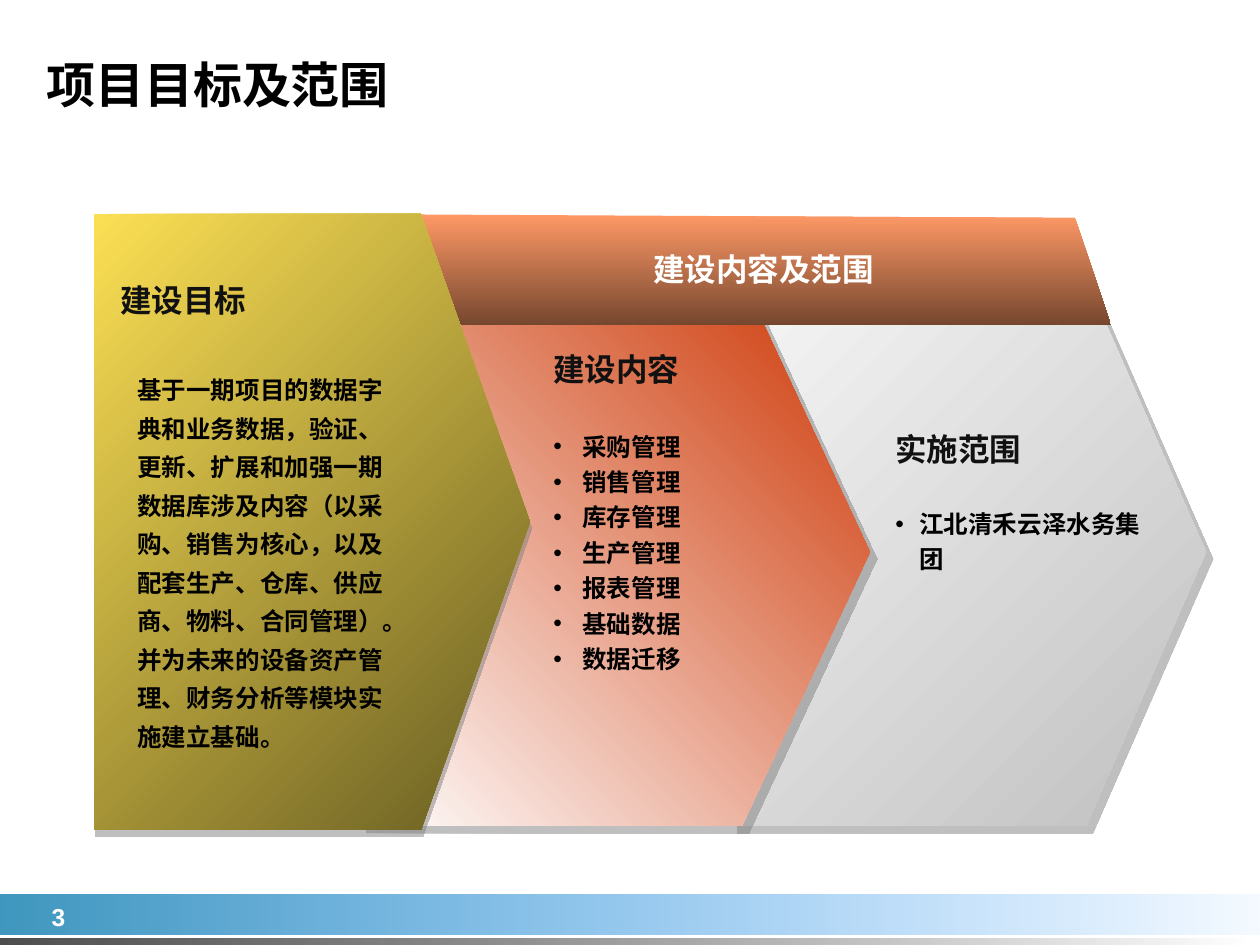
"""Build the project goals and scope slide with python-pptx."""
from dataclasses import dataclass

from lxml import etree
from pptx import Presentation
from pptx import util as u
from pptx.dml.color import RGBColor
from pptx.enum import shapes, text
from pptx.oxml.ns import qn

PX = 914400 / 126


@dataclass(frozen=True)
class Theme:
    latin: str = "Arial"
    cjk: str = "Noto Sans CJK SC"
    title: int = 28
    heading: int = 18
    body: int = 14
    black: str = "000000"
    ink: str = "111111"
    white: str = "FFFFFF"
    shadow: str = "808080"
    blue: tuple = ("3F97BF", "3399FF")
    dark: tuple = ("4D4D4D", "333333")
    grey: tuple = ("F6F6F6", "C0C0C0")
    red: tuple = ("FFFFFF", "CC3300")
    orange: tuple = ("FF9966", "76472F")
    yellow: tuple = ("FBDF53", "675C22")


THEME = Theme()


@dataclass(frozen=True)
class Bar:
    top: int
    width: int
    height: int
    colors: tuple
    end_alpha: int


@dataclass(frozen=True)
class Panel:
    points: tuple
    colors: tuple
    angle: int
    shadow: tuple = ()


@dataclass(frozen=True)
class Line:
    text: str
    size: int
    color: str
    spacing: float = 1.2
    before: float = 0
    hang: int = 0
    bullet: bool = False


@dataclass(frozen=True)
class Label:
    left: int
    top: int
    width: int
    height: int
    lines: tuple
    font: str = THEME.cjk
    centered: bool = False
    middle: bool = False


def px(value: float) -> int:
    """Turn px into EMU."""
    return round(value * PX)


def arrow(left: int, top: int, shoulder: int, tip: int, bottom: int) -> tuple:
    """Return the outline of a block arrow that points right."""
    return ((left, top), (shoulder, top), (tip, (top + bottom) // 2),
            (shoulder, bottom), (left, bottom))


def bullets(names: tuple, hang: int, before: float) -> tuple:
    """Return bulleted lines, with a gap above the first one."""
    return tuple(Line(name, THEME.body, THEME.black, 1.44, 0 if index else before, hang, True)
                 for index, name in enumerate(names))


def paint(shape, colors: tuple, angle: int, end_alpha: int = 100) -> None:
    """Fill a shape with a two-colour gradient and no outline."""
    shape.shadow.inherit = False
    shape.line.fill.background()
    shape.fill.gradient()
    shape.fill.gradient_angle = -angle % 360
    for stop, color in zip(shape.fill.gradient_stops, colors):
        stop.color.rgb = RGBColor.from_string(color)
    if end_alpha < 100:
        last = list(shape.element.spPr.iter(qn("a:srgbClr")))[-1]
        etree.SubElement(last, qn("a:alpha"), val=str(end_alpha * 1000))


def add_shadow(shape, distance: float, angle: int) -> None:
    """Give a shape a hard, half-transparent shadow."""
    effects = shape.element.spPr.find(qn("a:effectLst"))
    outer = etree.SubElement(effects, qn("a:outerShdw"), blurRad="0", dist=str(u.Pt(distance)),
                             dir=str(angle * 60000), algn="ctr", rotWithShape="0")
    color = etree.SubElement(outer, qn("a:srgbClr"), val=THEME.shadow)
    etree.SubElement(color, qn("a:alpha"), val="50000")


def draw_bar(page, bar: Bar) -> None:
    """Draw one footer bar."""
    shape = page.shapes.add_shape(shapes.MSO_SHAPE.RECTANGLE, 0, px(bar.top),
                                  px(bar.width), px(bar.height))
    paint(shape, bar.colors, 0, bar.end_alpha)


def draw_panel(page, panel: Panel) -> None:
    """Draw one gradient panel."""
    builder = page.shapes.build_freeform(*panel.points[0], scale=PX)
    builder.add_line_segments(panel.points[1:], close=True)
    shape = builder.convert_to_shape()
    paint(shape, panel.colors, panel.angle)
    if panel.shadow:
        add_shadow(shape, *panel.shadow)


def write_line(para, line: Line, font: str, centered: bool) -> None:
    """Write and format one paragraph."""
    para.text = line.text
    para.alignment = text.PP_ALIGN.CENTER if centered else text.PP_ALIGN.LEFT
    para.line_spacing = u.Pt(round(line.size * line.spacing, 1))
    if line.before:
        para.space_before = u.Pt(line.before)
    if line.bullet:
        props = para._p.get_or_add_pPr()
        props.set("marL", str(px(line.hang)))
        props.set("indent", str(-px(line.hang)))
        etree.SubElement(props, qn("a:buFont"), typeface=THEME.latin)
        etree.SubElement(props, qn("a:buChar"), char="•")
    for span in para.runs:
        span.font.size = u.Pt(line.size)
        span.font.bold = True
        span.font.color.rgb = RGBColor.from_string(line.color)
        span.font.name = font
        etree.SubElement(span._r.get_or_add_rPr(), qn("a:ea"), typeface=THEME.cjk)


def draw_label(page, label: Label) -> None:
    """Draw one text box."""
    box = page.shapes.add_textbox(px(label.left), px(label.top), px(label.width), px(label.height))
    frame = box.text_frame
    frame.word_wrap = True
    frame.vertical_anchor = text.MSO_ANCHOR.MIDDLE if label.middle else text.MSO_ANCHOR.TOP
    for index, line in enumerate(label.lines):
        para = frame.add_paragraph() if index else frame.paragraphs[0]
        write_line(para, line, label.font, label.centered)


BARS = (Bar(895, 1260, 40, THEME.blue, 5), Bar(939, 1250, 6, THEME.dark, 0))
PANELS = (
    Panel(arrow(730, 278, 1086, 1206, 826), THEME.grey, 45, (5.7, 45)),
    Panel(arrow(359, 278, 742, 870, 826), THEME.red, 315, (5.7, 45)),
    Panel(((321, 214), (341, 325), (1111, 325), (1075, 218)), THEME.orange, 90),
    Panel(arrow(94, 214, 421, 530, 830), THEME.yellow, 45, (4.1, 76)),
)
GOAL = ("基于一期项目的数据字典和业务数据，验证、更新、扩展和加强一期数据库涉及内容"
        "（以采购、销售为核心，以及配套生产、仓库、供应商、物料、合同管理）。"
        "并为未来的设备资产管理、财务分析等模块实施建立基础。")
MODULES = ("采购管理", "销售管理", "库存管理", "生产管理", "报表管理", "基础数据", "数据迁移")
LABELS = (
    Label(19, 902, 79, 30, (Line("3", THEME.body, THEME.white),), THEME.latin, True, True),
    Label(446, 244, 635, 50, (Line("建设内容及范围", THEME.heading, THEME.white),),
          THEME.latin, True),
    Label(541, 344, 307, 464, (Line("建设内容", THEME.heading, THEME.ink),
                               *bullets(MODULES, 29, 21.6))),
    Label(125, 360, 277, 398, (Line(GOAL, THEME.body, THEME.black, 22 / THEME.body),)),
    Label(883, 416, 292, 276, (Line("实施范围", THEME.heading, THEME.ink, 1.44),
                               *bullets(("江北清禾云泽水务集团",), 24, 20.2))),
    Label(108, 275, 257, 50, (Line("建设目标", THEME.heading, THEME.ink),)),
    Label(34, 38, 1186, 91, (Line("项目目标及范围", THEME.title, THEME.black),), middle=True),
)


def main() -> None:
    """Build and save the deck."""
    deck = Presentation()
    deck.slide_width, deck.slide_height = px(1260), px(945)
    page = deck.slides.add_slide(deck.slide_layouts[6])
    for bar in BARS:
        draw_bar(page, bar)
    for panel in PANELS:
        draw_panel(page, panel)
    for label in LABELS:
        draw_label(page, label)
    deck.save("out.pptx")


if __name__ == "__main__":
    main()
